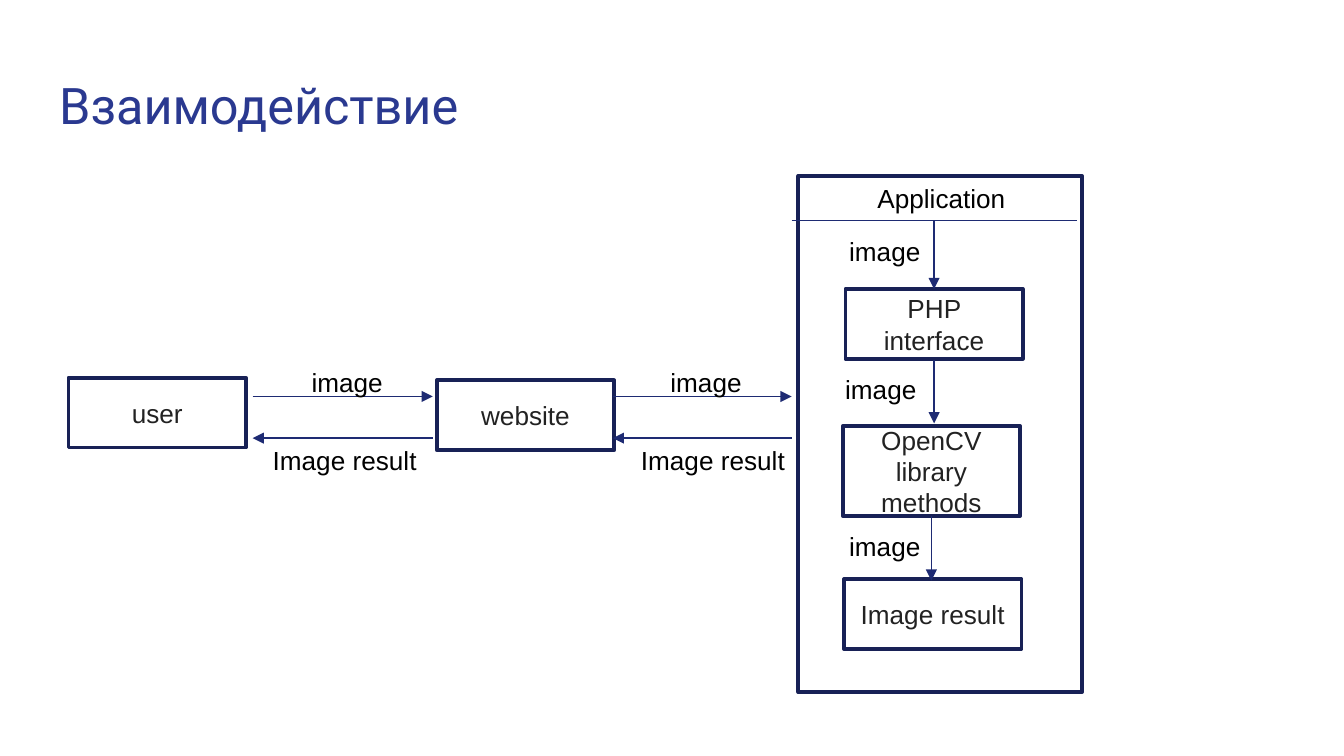
from lxml.etree import SubElement
from pptx import Presentation
from pptx.dml.color import RGBColor
from pptx.enum.shapes import MSO_CONNECTOR, MSO_SHAPE
from pptx.enum.text import MSO_ANCHOR, MSO_AUTO_SIZE, PP_ALIGN
from pptx.oxml.ns import qn
from pptx.util import Inches, Pt

hues = {"title": "2A3990", "edge": "182156", "line": "1E2B73",
        "box": "222222", "label": "000000", "fill": "FFFFFF"}
fonts = {
    "title": {"name": "Roboto", "size": Pt(27), "bold": False},
    "box": {"name": "Arial", "size": Pt(14)},
    "label": {"name": "Arial", "size": Pt(14)},
}


def write(shape, text, kind, align, anchor, wrap=True):
    frame = shape.text_frame
    frame.word_wrap = wrap
    frame.vertical_anchor = anchor
    para = frame.paragraphs[0]
    para.alignment = align
    run = para.add_run()
    run.text = text
    for key, value in fonts[kind].items():
        setattr(run.font, key, value)
    run.font.color.rgb = RGBColor.from_string(hues[kind])


def link(x1, y1, x2, y2, arrow=True):
    line = slide.shapes.add_connector(
        MSO_CONNECTOR.STRAIGHT, *map(Inches, (x1, y1, x2, y2)))
    line.line.width = Pt(0.75)
    line.line.color.rgb = RGBColor.from_string(hues["line"])
    if arrow:
        SubElement(line.line._get_or_add_ln(), qn("a:tailEnd"), type="triangle")
    SubElement(line._element.spPr, qn("a:effectLst"))


deck = Presentation()
deck.slide_width = Inches(10)
deck.slide_height = deck.slide_width * 9 // 16
slide = deck.slides.add_slide(deck.slide_layouts[5])

title = slide.shapes.title
title.left, title.top, title.width, title.height = map(
    Inches, (0.34, 0.45, 9.32, 0.66))
frame = title.text_frame
for side in ("left", "top", "right", "bottom"):
    setattr(frame, f"margin_{side}", Inches(0.1))
frame.auto_size = MSO_AUTO_SIZE.NONE
write(title, "Взаимодействие", "title", PP_ALIGN.LEFT, MSO_ANCHOR.TOP)

boxes = [
    ("", 5.94, 1.31, 2.11, 3.84),
    ("user", 0.51, 2.81, 1.32, 0.52),
    ("website", 3.25, 2.83, 1.32, 0.52),
    ("PHP interface", 6.29, 2.15, 1.32, 0.52),
    ("OpenCV library methods", 6.27, 3.17, 1.32, 0.67),
    ("Image result", 6.28, 4.31, 1.32, 0.52),
]
for text, *place in boxes:
    box = slide.shapes.add_shape(MSO_SHAPE.RECTANGLE, *map(Inches, place))
    box.shadow.inherit = False
    box.fill.solid()
    box.fill.fore_color.rgb = RGBColor.from_string(hues["fill"])
    box.line.color.rgb = RGBColor.from_string(hues["edge"])
    box.line.width = Pt(2)
    if text:
        write(box, text, "box", PP_ALIGN.CENTER, MSO_ANCHOR.MIDDLE)

for left, right in ((1.88, 3.22), (4.56, 5.89)):
    link(left, 2.95, right, 2.95)
    link(right, 3.26, left, 3.26)

link(5.89, 1.64, 8.01, 1.64, arrow=False)
for x, top, end in ((6.95, 1.64, 2.15), (6.95, 2.68, 3.15), (6.93, 3.84, 4.32)):
    link(x, top, x, end)

labels = {
    ("Application", 1.16): [(6.43, 1.31)],
    ("image", 0.73): [(2.22, 2.68), (4.89, 2.68),
                      (6.22, 1.7), (6.19, 2.73), (6.22, 3.9)],
    ("Image result", 1.28): [(1.93, 3.26), (4.67, 3.26)],
}
for (text, width), spots in labels.items():
    for x, y in spots:
        label = slide.shapes.add_textbox(*map(Inches, (x, y, width, 0.34)))
        label.text_frame.auto_size = MSO_AUTO_SIZE.SHAPE_TO_FIT_TEXT
        write(label, text, "label", PP_ALIGN.LEFT, MSO_ANCHOR.TOP, wrap=False)

deck.save("out.pptx")
